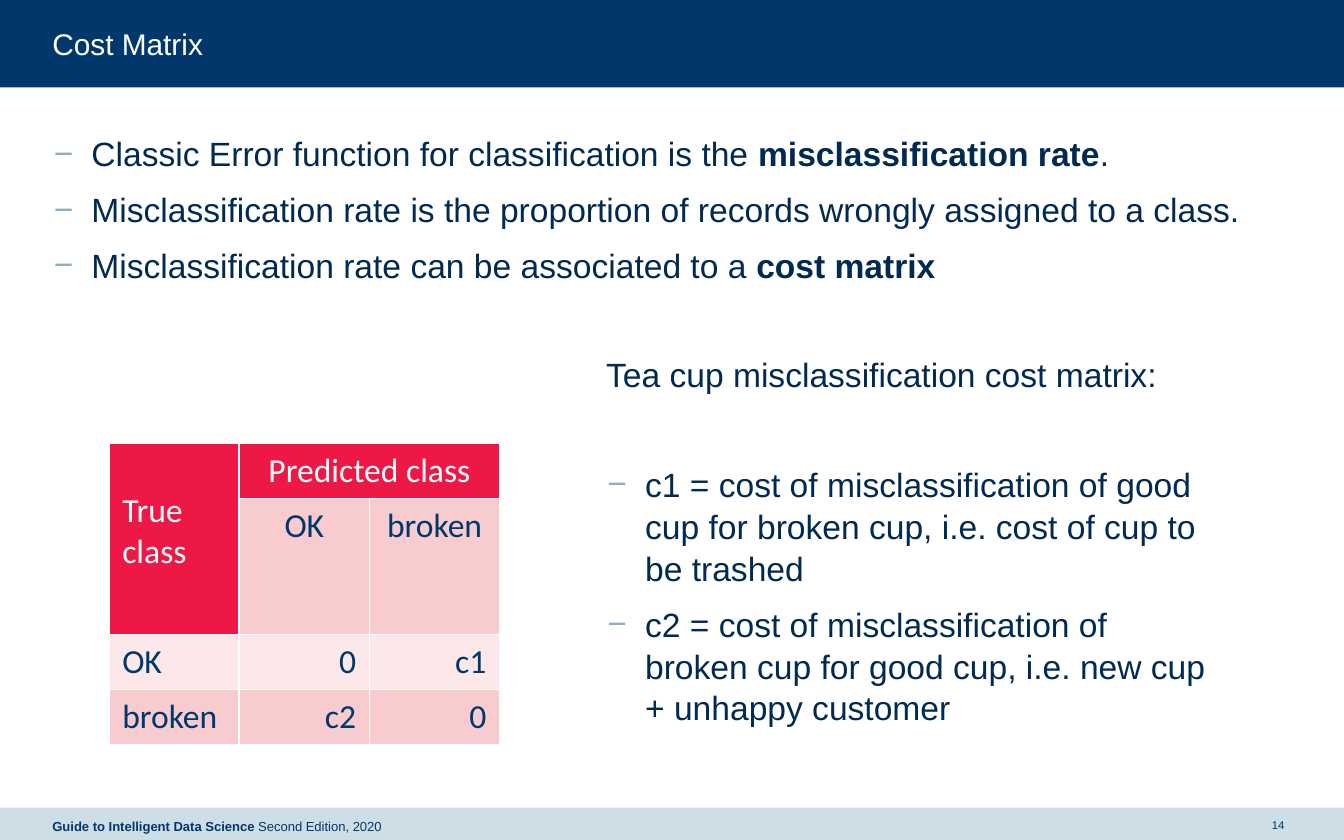
from lxml import etree
from pptx import Presentation
from pptx.dml.color import RGBColor
from pptx.enum.shapes import MSO_SHAPE
from pptx.enum.text import MSO_ANCHOR, MSO_AUTO_SIZE, PP_ALIGN
from pptx.oxml import parse_xml
from pptx.oxml.ns import nsdecls, qn
from pptx.util import Inches, Pt

LEFT, CENTER, RIGHT = PP_ALIGN.LEFT, PP_ALIGN.CENTER, PP_ALIGN.RIGHT
TOP, MIDDLE = MSO_ANCHOR.TOP, MSO_ANCHOR.MIDDLE

NAVY = RGBColor(0x00, 0x38, 0x6C)
INK = RGBColor(0x00, 0x2A, 0x51)
PALE_BLUE = RGBColor(0xCD, 0xDE, 0xE7)
DASH_BLUE = RGBColor(0x92, 0xAE, 0xBC)
RED = RGBColor(0xED, 0x18, 0x46)
PINK = RGBColor(0xF8, 0xCC, 0xCF)
PALE_PINK = RGBColor(0xFC, 0xE8, 0xE9)
WHITE = RGBColor(0xFF, 0xFF, 0xFF)

TITLE = {"size": 16, "color": WHITE}
BODY = {"size": 18, "color": INK}
FOOTER = {"size": 7, "color": NAVY}
NUMBER = {"size": 6, "color": NAVY}

RATE_POINTS = [
    [("Classic Error function for classification is the ", False),
     ("misclassification rate", True), (".", False)],
    [("Misclassification rate is the proportion of records wrongly "
      "assigned to a class.", False)],
    [("Misclassification rate can be associated to a ", False),
     ("cost matrix", True)],
]
COST_HEADING = [("Tea cup misclassification cost matrix:", False)]
COST_POINTS = [
    [("c1 = cost of misclassification of good cup for broken cup, "
      "i.e. cost of cup to be trashed", False)],
    [("c2 = cost of misclassification of broken cup for good cup, "
      "i.e. new cup + unhappy customer", False)],
]
MATRIX = [
    ["True class", "Predicted class", ""],
    ["", "OK", "broken"],
    ["OK", "0", "c1"],
    ["broken", "c2", "0"],
]
ROW_FILLS = [RED, PINK, PALE_PINK, PINK]
ROW_HEIGHTS = [0.41, 1.01, 0.41, 0.41]
COL_WIDTH = 0.97


def place(sp, left, top, width, height):
    sp.left, sp.top = Inches(left), Inches(top)
    sp.width, sp.height = Inches(width), Inches(height)


def add_bar(s, top, height, color):
    sp = s.shapes.add_shape(MSO_SHAPE.RECTANGLE, 0, Inches(top),
                            Inches(10), Inches(height))
    sp.shadow.inherit = False
    sp.fill.solid()
    sp.fill.fore_color.rgb = color
    sp.line.fill.background()


def add_box(s, box):
    return s.shapes.add_textbox(*map(Inches, box))


def set_frame(tf, anchor):
    settings = {"margin_left": 0, "margin_right": 0, "margin_top": 0,
                "margin_bottom": 0, "word_wrap": True,
                "auto_size": MSO_AUTO_SIZE.NONE, "vertical_anchor": anchor}
    for name, value in settings.items():
        setattr(tf, name, value)


def write(p, runs, style, align=LEFT, font="Arial"):
    p.alignment = align
    for text, bold in runs:
        r = p.add_run()
        r.text = text
        values = {"name": font, "size": Pt(style["size"]), "bold": bold}
        for name, value in values.items():
            setattr(r.font, name, value)
        r.font.color.rgb = style["color"]


def space(p, before=7.5):
    p.line_spacing = 1.04
    p.space_before = Pt(before)


def add_dash(p):
    pPr = p._p.get_or_add_pPr()
    pPr.set("marL", str(Inches(0.29)))
    pPr.set("indent", str(Inches(-0.28)))
    color = etree.SubElement(pPr, qn("a:buClr"))
    etree.SubElement(color, qn("a:srgbClr"), val=str(DASH_BLUE))
    etree.SubElement(pPr, qn("a:buFont"), typeface="Arial")
    etree.SubElement(pPr, qn("a:buChar"), char="−")


def write_points(tf, points, first=None, gap=7.5):
    """Write dashed points, from the paragraph first on; gap precedes them."""
    for i, runs in enumerate(points):
        p = first if first is not None and i == 0 else tf.add_paragraph()
        space(p, gap if i == 0 else 7.5)
        add_dash(p)
        write(p, runs, BODY)


def set_borders(cell):
    tcPr = cell._tc.get_or_add_tcPr()
    for side in ("lnL", "lnR", "lnT", "lnB"):
        tcPr.append(parse_xml(
            f'<a:{side} {nsdecls("a")} w="{Pt(1)}"><a:solidFill>'
            f'<a:srgbClr val="{WHITE}"/></a:solidFill></a:{side}>'))


def add_matrix(s, left, top):
    n_rows, n_cols = len(MATRIX), len(MATRIX[0])
    table = s.shapes.add_table(
        n_rows, n_cols, Inches(left), Inches(top),
        Inches(COL_WIDTH * n_cols), Inches(sum(ROW_HEIGHTS))).table
    table.first_row = table.horz_banding = False
    for col in table.columns:
        col.width = Inches(COL_WIDTH)
    for row, height in zip(table.rows, ROW_HEIGHTS):
        row.height = Inches(height)
    table.cell(0, 0).merge(table.cell(1, 0))
    table.cell(0, 1).merge(table.cell(0, 2))

    for i, values in enumerate(MATRIX):
        for j, text in enumerate(values):
            cell = table.cell(i, j)
            header = i == 0 or (i == 1 and j == 0)
            set_borders(cell)
            cell.fill.solid()
            cell.fill.fore_color.rgb = RED if header else ROW_FILLS[i]
            if text:
                align = LEFT if j == 0 else CENTER if i < 2 else RIGHT
                style = {"size": 18, "color": WHITE if header else NAVY}
                write(cell.text_frame.paragraphs[0], [(text, False)],
                      style, align, "Calibri")
    # The row label starts one line below the top of its merged cell
    table.cell(0, 0).margin_top = Inches(0.35)


def main():
    prs = Presentation()
    prs.slide_width, prs.slide_height = Inches(10), Inches(6.25)
    s = prs.slides.add_slide(prs.slide_layouts[1])
    title, body = s.placeholders

    # Header and footer bands, behind the placeholders
    add_bar(s, 0, 0.65, NAVY)
    add_bar(s, 6.01, 0.24, PALE_BLUE)
    for sp in (title, body):
        s.shapes._spTree.append(sp._element)

    # Title
    place(title, 0.39, 0.19, 9.22, 0.27)
    set_frame(title.text_frame, MIDDLE)
    write(title.text_frame.paragraphs[0], [("Cost Matrix", False)], TITLE)

    # Points on the misclassification rate
    place(body, 0.39, 0.98, 9.16, 1.62)
    tf = body.text_frame
    set_frame(tf, TOP)
    write_points(tf, RATE_POINTS, tf.paragraphs[0])

    # Cost matrix and its explanation
    add_matrix(s, 0.81, 3.3)
    tf = add_box(s, (4.51, 2.62, 4.51, 2.61)).text_frame
    set_frame(tf, TOP)
    space(tf.paragraphs[0])
    write(tf.paragraphs[0], COST_HEADING, BODY)
    write_points(tf, COST_POINTS, gap=36.5)

    # Footer text and slide number
    footer = [("Guide to Intelligent Data Science ", True),
              ("Second Edition, 2020", False)]
    for box, runs, style, align in (
            ((0.39, 6.02, 4.39, 0.26), footer, FOOTER, LEFT),
            ((9.41, 6.01, 0.2, 0.26), [("14", False)], NUMBER, CENTER)):
        tf = add_box(s, box).text_frame
        set_frame(tf, MIDDLE)
        write(tf.paragraphs[0], runs, style, align)

    prs.save("out.pptx")


if __name__ == "__main__":
    main()
